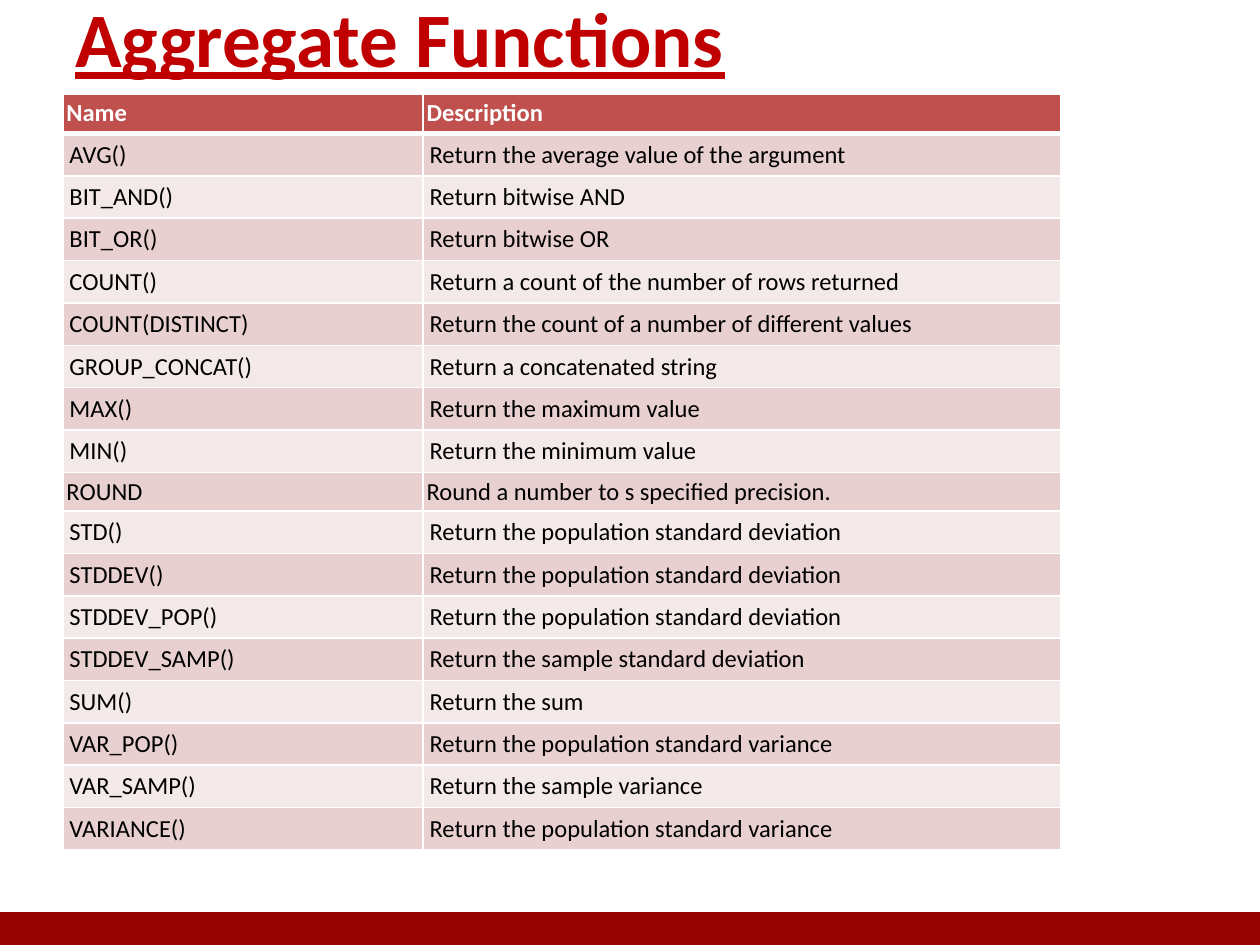
from dataclasses import dataclass

from lxml.etree import SubElement
from pptx import Presentation
from pptx.dml.color import RGBColor
from pptx.enum.shapes import MSO_SHAPE
from pptx.enum.text import MSO_ANCHOR
from pptx.oxml.ns import qn
from pptx.util import Cm, Pt


@dataclass(frozen=True)
class Theme:
    font: str = "Calibri"
    title_size: int = 44
    table_size: int = 14
    title: str = "C00000"
    footer: str = "970303"
    header: str = "C0504D"
    bands: tuple = ("E8D0D0", "F4E9E9")
    text: str = "000000"
    light: str = "FFFFFF"


THEME = Theme()
COLUMN_WIDTHS = (7.26, 12.85)
ROW_HEIGHT = 0.78
TIGHT, LOOSE = 0.07, 0.13
HEADER = ("Name", "Description")
FUNCTIONS = [
    ("AVG()", "Return the average value of the argument"),
    ("BIT_AND()", "Return bitwise AND"),
    ("BIT_OR()", "Return bitwise OR"),
    ("COUNT()", "Return a count of the number of rows returned"),
    ("COUNT(DISTINCT)", "Return the count of a number of different values"),
    ("GROUP_CONCAT()", "Return a concatenated string"),
    ("MAX()", "Return the maximum value"),
    ("MIN()", "Return the minimum value"),
    ("ROUND", "Round a number to s specified precision."),
    ("STD()", "Return the population standard deviation"),
    ("STDDEV()", "Return the population standard deviation"),
    ("STDDEV_POP()", "Return the population standard deviation"),
    ("STDDEV_SAMP()", "Return the sample standard deviation"),
    ("SUM()", "Return the sum"),
    ("VAR_POP()", "Return the population standard variance"),
    ("VAR_SAMP()", "Return the sample variance"),
    ("VARIANCE()", "Return the population standard variance"),
]


def set_all(target, values):
    for name, value in values.items():
        setattr(target, name, value)


def write(tf, text, color, **font):
    r = tf.paragraphs[0].add_run()
    r.text = text
    set_all(r.font, {"name": THEME.font, **font})
    r.font.color.rgb = RGBColor.from_string(color)


def add_footer_bar(s):
    bar = s.shapes.add_shape(MSO_SHAPE.RECTANGLE, 0, Cm(18.42), Cm(25.4), Cm(0.63))
    bar.shadow.inherit = False
    color = RGBColor.from_string(THEME.footer)
    bar.fill.solid()
    bar.fill.fore_color.rgb = color
    bar.line.color.rgb = color
    bar.line.width = Pt(2)


def add_title(s, text):
    tf = s.shapes.add_textbox(Cm(1.27), Cm(-0.84), Cm(22.86), Cm(3.18)).text_frame
    set_all(tf, {"word_wrap": True, "vertical_anchor": MSO_ANCHOR.MIDDLE})
    write(tf, text, THEME.title, size=Pt(THEME.title_size), bold=True, underline=True)


def set_borders(cell, bottom):
    """Draw light cell borders; must run before the fill to keep the XML order."""
    tc_pr = cell._tc.get_or_add_tcPr()
    for side, width in {"L": 1, "R": 1, "T": 1, "B": bottom}.items():
        ln = SubElement(tc_pr, qn(f"a:ln{side}"), w=str(Pt(width)))
        fill = SubElement(ln, qn("a:solidFill"))
        SubElement(fill, qn("a:srgbClr"), val=THEME.light)


def fill_row(row, texts, fill, color, margin, anchor, bold=False, bottom=1):
    row.height = Cm(ROW_HEIGHT)
    sides = ("left", "right", "top", "bottom")
    for cell, text in zip(row.cells, texts):
        set_all(cell, {f"margin_{side}": Cm(margin) for side in sides})
        cell.vertical_anchor = anchor
        set_borders(cell, bottom)
        cell.fill.solid()
        cell.fill.fore_color.rgb = RGBColor.from_string(fill)
        write(cell.text_frame, text, color, size=Pt(THEME.table_size), bold=bold)


def add_function_table(s):
    count = len(FUNCTIONS) + 1
    table = s.shapes.add_table(count, len(HEADER), Cm(1.27), Cm(1.91),
                               Cm(sum(COLUMN_WIDTHS)), Cm(count * ROW_HEIGHT)).table
    for column, width in zip(table.columns, COLUMN_WIDTHS):
        column.width = Cm(width)
    header, *body = table.rows
    fill_row(header, HEADER, THEME.header, THEME.light, TIGHT, MSO_ANCHOR.TOP,
             bold=True, bottom=3)
    for i, (row, texts) in enumerate(zip(body, FUNCTIONS)):
        compact = texts[0] == "ROUND"
        fill_row(row, texts, THEME.bands[i % 2], THEME.text,
                 TIGHT if compact else LOOSE,
                 MSO_ANCHOR.MIDDLE if compact else MSO_ANCHOR.TOP)


def main():
    prs = Presentation()
    set_all(prs, {"slide_width": Cm(25.4), "slide_height": Cm(19.05)})
    s = prs.slides.add_slide(prs.slide_layouts[6])
    add_footer_bar(s)
    add_title(s, "Aggregate Functions")
    add_function_table(s)
    prs.save("out.pptx")


if __name__ == "__main__":
    main()
